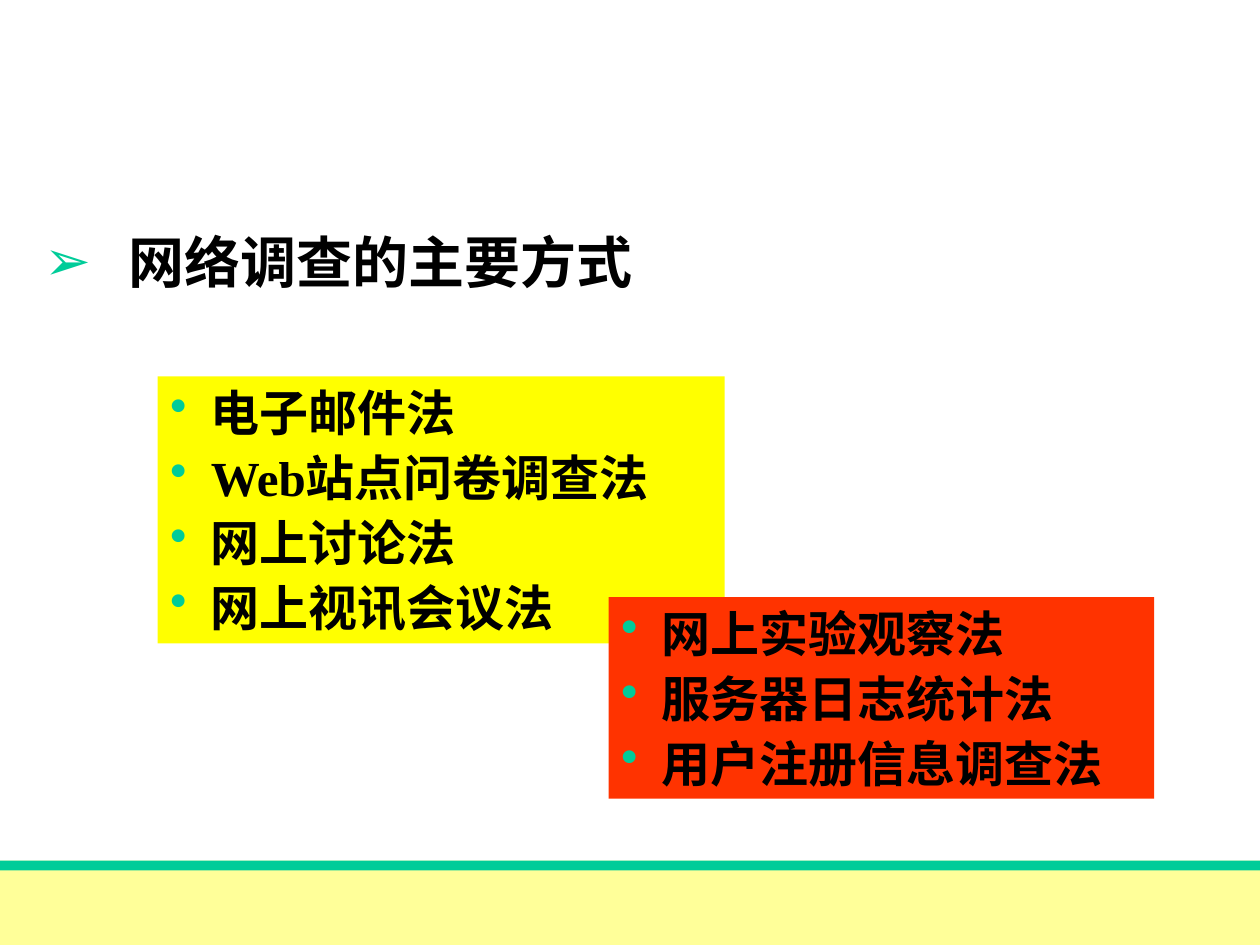
import pptx
import pptx.dml.color
import pptx.enum.shapes
import pptx.enum.text
import pptx.oxml.ns
import pptx.util
from lxml import etree
from pptx.util import Cm

# Content
HEADING = "网络调查的主要方式"
METHOD_BOXES = [
    {"fill": "yellow", "place": (3.18, 7.59, 11.43, 5.38),
     "items": ["电子邮件法", "Web站点问卷调查法", "网上讨论法", "网上视讯会议法"]},
    {"fill": "red", "place": (12.27, 12.04, 11, 4.06),
     "items": ["网上实验观察法", "服务器日志统计法", "用户注册信息调查法"]},
]

# Theme
THEME = {
    "font": "Times New Roman", "heading_size": 32, "item_size": 28,
    "text": "000000", "accent": "00CC99", "band": "FFFF99",
    "yellow": "FFFF00", "red": "FF3300",
}
SLIDE_WIDTH, SLIDE_HEIGHT = 25.4, 19.05
BAND_TOP, STRIPE_HEIGHT = 17.35, 0.2


def color(name):
    return pptx.dml.color.RGBColor.from_string(THEME[name])


def place(shape, left, top, width, height):
    shape.left, shape.top = Cm(left), Cm(top)
    shape.width, shape.height = Cm(width), Cm(height)


def add_rectangle(shapes, fill, left, top, width, height):
    rectangle = shapes.add_shape(
        pptx.enum.shapes.MSO_SHAPE.RECTANGLE,
        Cm(left), Cm(top), Cm(width), Cm(height))
    rectangle.shadow.inherit = False
    rectangle.fill.solid()
    rectangle.fill.fore_color.rgb = color(fill)
    rectangle.line.fill.background()
    return rectangle


def add_bullet(paragraph, character, indent):
    properties = paragraph._p.get_or_add_pPr()
    properties.set("marL", str(Cm(indent)))
    properties.set("indent", str(-Cm(indent)))
    bullet_color = etree.SubElement(properties, pptx.oxml.ns.qn("a:buClr"))
    etree.SubElement(bullet_color, pptx.oxml.ns.qn("a:srgbClr"), val=THEME["accent"])
    etree.SubElement(properties, pptx.oxml.ns.qn("a:buChar"), char=character)


def write_list(shape, items, character, indent, size, space_before):
    frame = shape.text_frame
    frame.word_wrap = True
    frame.auto_size = pptx.enum.text.MSO_AUTO_SIZE.NONE
    frame.vertical_anchor = pptx.enum.text.MSO_ANCHOR.TOP
    frame.text = "\n".join(items)
    for index, paragraph in enumerate(frame.paragraphs):
        add_bullet(paragraph, character, indent)
        paragraph.alignment = pptx.enum.text.PP_ALIGN.LEFT
        paragraph.space_before = pptx.util.Pt(space_before if index else 0)
        for run in paragraph.runs:
            run.font.name = THEME["font"]
            run.font.size = pptx.util.Pt(THEME[size])
            run.font.bold = True
            run.font.color.rgb = color("text")


def main():
    presentation = pptx.Presentation()
    presentation.slide_width = Cm(SLIDE_WIDTH)
    presentation.slide_height = Cm(SLIDE_HEIGHT)
    slide = presentation.slides.add_slide(presentation.slide_layouts[1])

    # Heading in the body placeholder; the title stays unused
    title = slide.shapes.title
    title.element.getparent().remove(title.element)
    body = slide.placeholders[1]
    place(body, 0.64, 4.45, 12.7, 1.9)
    write_list(body, [HEADING], "➢", 1.7, "heading_size", 0)

    # Footer band with its stripe
    footer = slide.shapes.add_group_shape()
    for fill, height in (("band", SLIDE_HEIGHT - BAND_TOP), ("accent", STRIPE_HEIGHT)):
        add_rectangle(footer.shapes, fill, 0, BAND_TOP, SLIDE_WIDTH, height)

    # Method boxes
    for box in METHOD_BOXES:
        rectangle = add_rectangle(slide.shapes, box["fill"], *box["place"])
        write_list(rectangle, box["items"], "•", 0.82, "item_size", 3.5)

    presentation.save("out.pptx")


if __name__ == "__main__":
    main()
